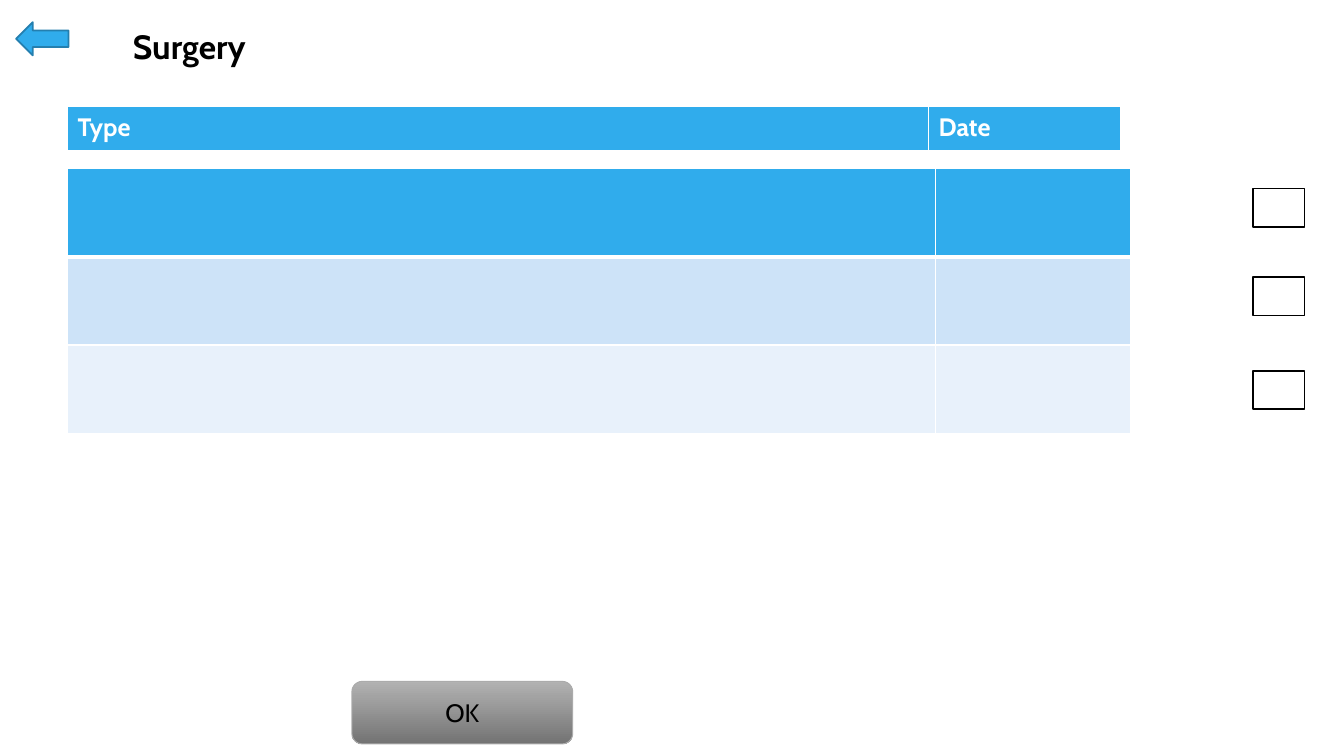
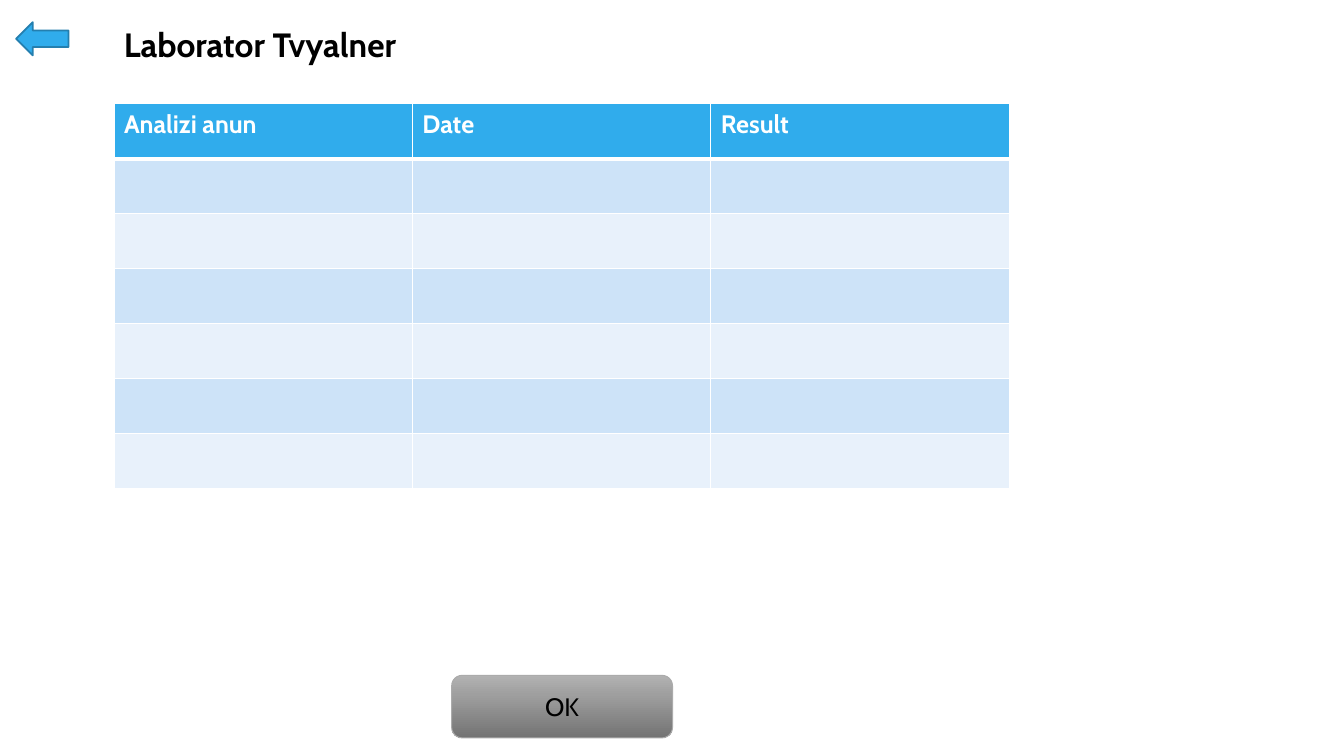
"""Build two medical record form slides: surgery list and laboratory results."""
from lxml import etree
from pptx import Presentation
from pptx import util as u
from pptx.dml.color import RGBColor
from pptx.enum import shapes, text
from pptx.oxml.ns import qn


class Theme:
    font = "Cabin"
    title_size, body_size = 24, 18
    black, white = "000000", "FFFFFF"
    blue, blue_edge = "30ACEC", "247FAF"
    bands = ("CDE3F8", "E8F1FB")
    button_top, button_bottom, button_edge = "B2B2B2", "737373", "ABABAB"
    thin, thick = 1, 3


SLIDES = [
    {
        "title": ("Surgery", 1.22, 0.21, 3.25),
        "tables": [
            {"at": (0.67, 1.67), "height": 2.63, "cols": [8.61], "rows": 3},
            {"at": (9.28, 1.67), "height": 2.63, "cols": [1.93], "rows": 3},
            {"at": (0.67, 1.06), "height": 0.45, "cols": [8.54, 1.9], "rows": 1,
             "headers": ["Type", "Date"]},
        ],
        "checkbox_tops": [1.87, 2.75, 3.68],
        "button": ("OK", 3.49, 6.76),
    },
    {
        "title": ("Laborator Tvyalner", 1.13, 0.19, 3),
        "tables": [
            {"at": (1.13, 1.03), "height": 3.82, "cols": [2.96] * 3, "rows": 7,
             "headers": ["Analizi anun", "Date", "Result"]},
        ],
        "checkbox_tops": [],
        "button": ("OK", 4.48, 6.7),
    },
]


def rgb(color):
    return RGBColor.from_string(color)


def style_text(p, size, color, bold=False):
    p.font.name = Theme.font
    p.font.size = u.Pt(size)
    p.font.bold = bold
    p.font.color.rgb = rgb(color)


def add_shape(slide, kind, at, fill, edge, width):
    sp = slide.shapes.add_shape(kind, *map(u.Inches, at))
    sp.shadow.inherit = False
    if fill:
        sp.fill.solid()
        sp.fill.fore_color.rgb = rgb(fill)
    sp.line.color.rgb = rgb(edge)
    sp.line.width = u.Pt(width)
    return sp


def add_title(slide, title, left, top, width):
    box = slide.shapes.add_textbox(*map(u.Inches, (left, top, width, 0.5)))
    tf = box.text_frame
    tf.word_wrap = True
    p = tf.paragraphs[0]
    p.text = title
    style_text(p, Theme.title_size, Theme.black, bold=True)


def add_button(slide, label, left, top):
    sp = add_shape(slide, shapes.MSO_SHAPE.ROUNDED_RECTANGLE,
                   (left, top, 2.19, 0.62), None, Theme.button_edge, 0.75)
    sp.fill.gradient()
    sp.fill.gradient_angle = 270
    for stop, color in zip(sp.fill.gradient_stops,
                           (Theme.button_top, Theme.button_bottom)):
        stop.color.rgb = rgb(color)
    tf = sp.text_frame
    tf.vertical_anchor = text.MSO_ANCHOR.MIDDLE
    p = tf.paragraphs[0]
    p.text = label
    p.alignment = text.PP_ALIGN.CENTER
    style_text(p, Theme.body_size, Theme.black)


def set_borders(cell, top, bottom):
    tc_pr = cell._tc.get_or_add_tcPr()
    widths = {"L": Theme.thin, "R": Theme.thin, "T": top, "B": bottom}
    for side, width in widths.items():
        ln = etree.SubElement(tc_pr, qn(f"a:ln{side}"), w=str(u.Pt(width)))
        fill = etree.SubElement(ln, qn("a:solidFill"))
        etree.SubElement(fill, qn("a:srgbClr"), val=Theme.white)


def add_table(slide, at, height, cols, rows, headers=()):
    size = (*at, sum(cols), height)
    table = slide.shapes.add_table(rows, len(cols), *map(u.Inches, size)).table
    table.horz_banding = False
    for column, width in zip(table.columns, cols):
        column.width = u.Inches(width)
    for i, row in enumerate(table.rows):
        row.height = u.Inches(height / rows)
        for cell in row.cells:
            set_borders(cell, Theme.thick if i == 1 else Theme.thin,
                        Theme.thick if i == 0 else Theme.thin)
            cell.fill.solid()
            cell.fill.fore_color.rgb = rgb(Theme.bands[(i - 1) % 2] if i else Theme.blue)
    for cell, header in zip(table.rows[0].cells, headers):
        p = cell.text_frame.paragraphs[0]
        p.text = header
        style_text(p, Theme.body_size, Theme.white, bold=True)


def build_slide(prs, content):
    slide = prs.slides.add_slide(prs.slide_layouts[6])
    add_title(slide, *content["title"])
    add_shape(slide, shapes.MSO_SHAPE.LEFT_ARROW, (0.16, 0.22, 0.52, 0.33),
              Theme.blue, Theme.blue_edge, 1.25)
    for table in content["tables"]:
        add_table(slide, **table)
    for top in content["checkbox_tops"]:
        add_shape(slide, shapes.MSO_SHAPE.RECTANGLE, (12.43, top, 0.51, 0.38),
                  Theme.white, Theme.black, 1.25)
    add_button(slide, *content["button"])


def main():
    prs = Presentation()
    prs.slide_width, prs.slide_height = u.Inches(13.33), u.Inches(7.5)
    for content in SLIDES:
        build_slide(prs, content)
    prs.save("out.pptx")


if __name__ == "__main__":
    main()
